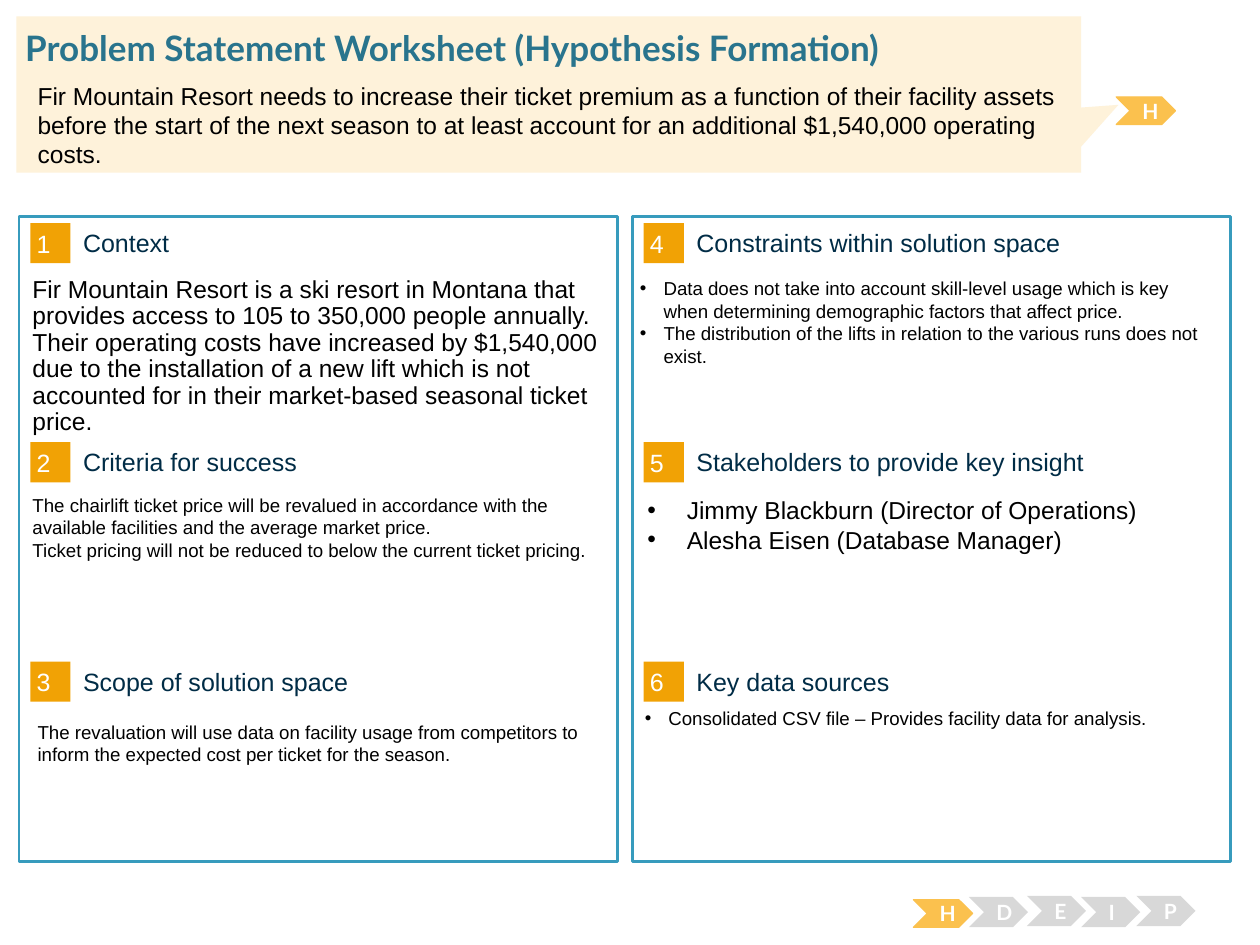
"""Build a problem statement worksheet slide."""
import pptx
import pptx.util
import pptx.dml.color
import pptx.enum.shapes
import pptx.enum.text
import pptx.oxml.ns
import lxml.etree

Pt = pptx.util.Pt
Kind = pptx.enum.shapes.MSO_SHAPE
Side = pptx.enum.text.PP_ALIGN
Hold = pptx.enum.text.MSO_ANCHOR
tone = {
    "white": "FFFFFF", "black": "000000", "navy": "002C46", "teal": "29748D",
    "edge": "379BBD", "amber": "F1A205", "gold": "FBC14E", "cream": "FEF2DA",
    "gray": "D8D8D8",
}


def form(kind, at, fill, line=None, width=0.75):
    shape = slide.shapes.add_shape(kind, *map(Pt, at))
    shape.shadow.inherit = False
    shape.fill.solid()
    shape.fill.fore_color.rgb = pptx.dml.color.RGBColor.from_string(tone[fill])
    if line:
        shape.line.color.rgb = pptx.dml.color.RGBColor.from_string(tone[line])
        shape.line.width = Pt(width)
    else:
        shape.line.fill.background()
    return shape


def write(text, at=None, shape=None, size=14, font="Arial", color="black", bold=False,
          align=Side.LEFT, anchor=Hold.TOP, pad=(7.2, 3.6), space=None, hang=0):
    shape = shape or slide.shapes.add_textbox(*map(Pt, at))
    frame = shape.text_frame
    frame.word_wrap = True
    frame.vertical_anchor = anchor
    frame.margin_left = frame.margin_right = Pt(pad[0])
    frame.margin_top = frame.margin_bottom = Pt(pad[1])
    frame.text = text
    for para in frame.paragraphs:
        para.alignment = align
        if space:
            para.line_spacing = space
        face = para.runs[0].font
        face.name, face.size, face.bold = font, Pt(size), bold
        face.color.rgb = pptx.dml.color.RGBColor.from_string(tone[color])
        if hang:
            props = para._p.get_or_add_pPr()
            props.set("marL", str(Pt(hang)))
            props.set("indent", str(-Pt(hang)))
            name = pptx.oxml.ns.qn
            tint = lxml.etree.SubElement(props, name("a:buClr"))
            lxml.etree.SubElement(tint, name("a:srgbClr"), val=tone["black"])
            lxml.etree.SubElement(props, name("a:buFont"), typeface="Arial")
            lxml.etree.SubElement(props, name("a:buChar"), char="•")


deck = pptx.Presentation()
deck.slide_width, deck.slide_height = Pt(720), Pt(540)
slide = deck.slides.add_slide(deck.slide_layouts[6])

step, drop = 350.5, 125.28
for col in range(2):
    form(Kind.RECTANGLE, (10.8 + col * step, 123.84, 342, 368.64), "white", "edge", 1.5)

heads = [
    "Context", "Criteria for success", "Scope of solution space",
    "Constraints within solution space", "Stakeholders to provide key insight",
    "Key data sources",
]
for spot, head in enumerate(heads):
    col, row = divmod(spot, 3)
    left, top = col * step, row * drop
    badge = form(Kind.RECTANGLE, (17.28 + left, 127.44 + top, 23, 23), "amber")
    write(str(spot + 1), shape=badge, size=14.3, color="white", anchor=Hold.MIDDLE,
          pad=(3.6, 3.6))
    write(head, (47.5 + left, 129.6 + top, 283, 18), size=14.3, color="navy",
          anchor=Hold.MIDDLE, pad=(0, 0))

write("Fir Mountain Resort is a ski resort in Montana that provides access to 105 to "
      "350,000 people annually. Their operating costs have increased by $1,540,000 due to "
      "the installation of a new lift which is not accounted for in their market-based "
      "seasonal ticket price.", (11.5, 154.8, 340.5, 98), space=0.9)
write("The chairlift ticket price will be revalued in accordance with the available "
      "facilities and the average market price.\n"
      "Ticket pricing will not be reduced to below the current ticket pricing.",
      (11.5, 278.6, 340.5, 111), size=10.7)
write("The revaluation will use data on facility usage from competitors to inform the "
      "expected cost per ticket for the season.", (14.4, 408.2, 340.5, 59), size=10.7)
write("Data does not take into account skill-level usage which is key when determining "
      "demographic factors that affect price.\n"
      "The distribution of the lifts in relation to the various runs does not exist.",
      (358.6, 154.8, 340.5, 85), size=10.7, hang=13.5)
write("Jimmy Blackburn (Director of Operations)\nAlesha Eisen (Database Manager)",
      (362.9, 279.4, 340.5, 85), hang=22.5)
write("Consolidated CSV file – Provides facility data for analysis.",
      (361.4, 400.3, 340.5, 85), size=10.7, hang=13.5)

steps = [
    ("H", 522, 514.1), ("D", 553.7, 512.6), ("E", 586.8, 511.9),
    ("I", 617.8, 512.6), ("P", 649.4, 511.9), ("H", 637.9, 55.4),
]
for mark, left, top in steps:
    live = mark == "H"
    arrow = form(Kind.CHEVRON, (left, top, 33.8, 15.8 if live else 17.3),
                 "gold" if live else "gray", "gold" if live else None)
    write(mark, shape=arrow, size=12, font="Lato", color="white", bold=True,
          align=Side.CENTER, anchor=Hold.MIDDLE)

call = form(Kind.RECTANGULAR_CALLOUT, (9.4, 9.4, 608.4, 89.3), "cream")
call.adjustments[0], call.adjustments[1] = 0.535, 0.066
write("Problem Statement Worksheet (Hypothesis Formation)", (14.4, 15.1, 692.6, 24.5),
      size=20, font="Lato", color="teal", bold=True, pad=(0, 0))
write("Fir Mountain Resort needs to increase their ticket premium as a function of their "
      "facility assets before the start of the next season to at least account for an "
      "additional $1,540,000 operating costs.", (14.4, 42.5, 603.4, 38.9))

deck.save("out.pptx")
